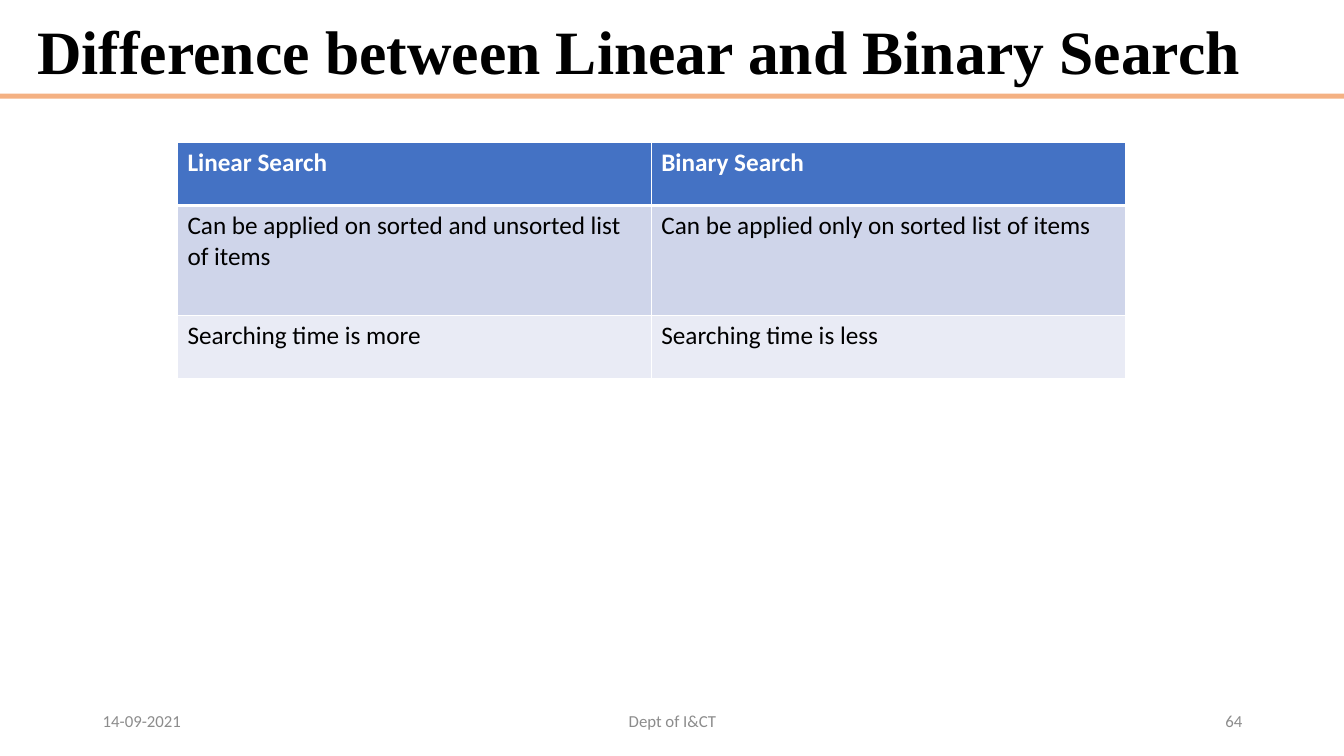
"""Builds a slide that compares linear and binary search in a table."""
from lxml import etree
from pptx import Presentation
from pptx.dml.color import RGBColor
from pptx.enum.shapes import MSO_SHAPE
from pptx.enum.text import MSO_ANCHOR, MSO_AUTO_SIZE, PP_ALIGN
from pptx.oxml.ns import qn
from pptx.util import Inches, Pt

LEFT, CENTER, RIGHT = PP_ALIGN.LEFT, PP_ALIGN.CENTER, PP_ALIGN.RIGHT
MIDDLE = MSO_ANCHOR.MIDDLE
RECTANGLE = MSO_SHAPE.RECTANGLE
NO_AUTOFIT = MSO_AUTO_SIZE.NONE
COLORS = {
    "black": "000000",
    "white": "FFFFFF",
    "rule": "F4B183",
    "footer": "8C8C8C",
    "header": "4472C4",
    "odd": "CFD5EA",
    "even": "E9EBF5",
}


def write(frame, text, size=18, font="Calibri", color="black", bold=False, align=LEFT):
    """Put one formatted paragraph into a text frame."""
    para = frame.paragraphs[0]
    para.alignment = align
    span = para.add_run()
    span.text = text
    span.font.size = Pt(size)
    span.font.name = font
    span.font.bold = bold
    span.font.color.rgb = RGBColor.from_string(COLORS[color])
    return para


def add_border(cell, side, width):
    """Draw a white line on one side of a table cell."""
    properties = cell._tc.get_or_add_tcPr()
    line = etree.SubElement(properties, qn(f"a:ln{side}"), w=str(Pt(width)))
    fill = etree.SubElement(line, qn("a:solidFill"))
    etree.SubElement(fill, qn("a:srgbClr"), val=COLORS["white"])


deck = Presentation()
deck.slide_width = Inches(13.33)
deck.slide_height = Inches(7.5)
page = deck.slides.add_slide(deck.slide_layouts[5])

rule = page.shapes.add_shape(RECTANGLE, 0, Inches(0.93), deck.slide_width, Inches(0.05))
rule.shadow.inherit = False
rule.fill.solid()
rule.fill.fore_color.rgb = RGBColor.from_string(COLORS["rule"])
rule.line.fill.background()

title = page.shapes.title
title.left, title.top = Inches(0.27), Inches(0.15)
title.width, title.height = Inches(12.15), Inches(0.79)
title.text_frame.auto_size = NO_AUTOFIT
title.text_frame.vertical_anchor = MIDDLE
heading = write(title.text_frame, "Difference between Linear and Binary Search",
                size=44, font="Times New Roman", bold=True)
heading.line_spacing = 0.9

FOOTERS = [
    ("14-09-2021", 0.92, 3, LEFT),
    ("Dept of I&CT", 4.42, 4.5, CENTER),
    ("64", 9.42, 3, RIGHT),
]
for text, left, width, align in FOOTERS:
    box = page.shapes.add_textbox(Inches(left), Inches(6.95), Inches(width), Inches(0.4))
    box.text_frame.word_wrap = True
    box.text_frame.vertical_anchor = MIDDLE
    write(box.text_frame, text, size=12, color="footer", align=align)

ROWS = [
    (0.63, "header", ["Linear Search", "Binary Search"]),
    (1.09, "odd", ["Can be applied on sorted and unsorted list of items",
                   "Can be applied only on sorted list of items"]),
    (0.63, "even", ["Searching time is more", "Searching time is less"]),
]
table = page.shapes.add_table(len(ROWS), 2, Inches(1.76), Inches(1.41),
                              Inches(9.4), Inches(2.35)).table
for row, (height, shade, texts) in enumerate(ROWS):
    table.rows[row].height = Inches(height)
    is_header = row == 0
    for column, text in enumerate(texts):
        cell = table.cell(row, column)
        for side in "LRTB":
            thick = (is_header and side == "B") or (row == 1 and side == "T")
            add_border(cell, side, 3 if thick else 1)
        cell.fill.solid()
        cell.fill.fore_color.rgb = RGBColor.from_string(COLORS[shade])
        write(cell.text_frame, text, color="white" if is_header else "black", bold=is_header)

deck.save("out.pptx")
